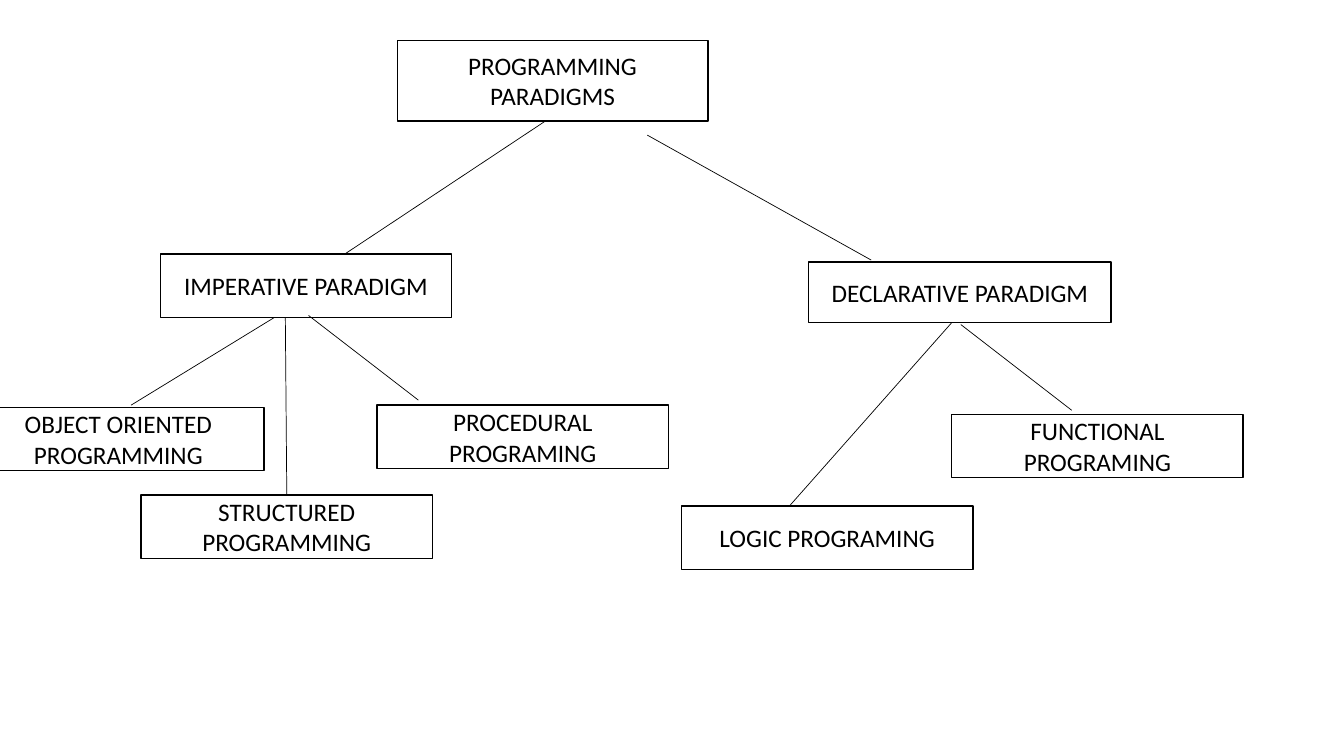
from lxml.etree import SubElement
from pptx import Presentation
from pptx.dml.color import RGBColor
from pptx.enum.shapes import MSO_CONNECTOR, MSO_SHAPE
from pptx.enum.text import MSO_ANCHOR as Anchor, PP_ALIGN as Align
from pptx.oxml.ns import qn
from pptx.util import Inches, Pt

WIDTH, HEIGHT = Inches(13.33), Inches(7.5)
BLACK, WHITE = "000000", "FFFFFF"
TOP_SIDE = 0

# All lengths are percentages of the slide's width and height.
LEAF_SIZE = (21.68, 8.4)
BOXES = [
    ("PROGRAMMING PARADIGMS", (29.56, 5.33), (23.11, 10.67)),
    ("IMPERATIVE PARADIGM", (11.93, 33.6), LEAF_SIZE),
    ("DECLARATIVE PARADIGM", (60.17, 34.67), (22.51, 8)),
    ("OBJECT ORIENTED PROGRAMMING", (-2.03, 53.87), LEAF_SIZE),
    ("STRUCTURED PROGRAMMING", (10.5, 65.47), LEAF_SIZE),
    ("PROCEDURAL PROGRAMING", (28.06, 53.6), LEAF_SIZE),
    ("LOGIC PROGRAMING", (50.71, 66.93), LEAF_SIZE),
    ("FUNCTIONAL PROGRAMING", (70.82, 54.8), LEAF_SIZE),
]
BRANCHES = [
    ((40.59, 16), (25.66, 33.6)),
    ((48.16, 17.87), (64.82, 34.4)),
    ((20.41, 42), (9.75, 53.6)),
    ((22.96, 41.73), (31.13, 52.93)),
    ((70.82, 42.67), (58.74, 66.93)),
    ((71.49, 42.93), (79.74, 54.27)),
]
STRUCTURED_BRANCH = ((21.23, 42), (21.34, 65.47))


def color(hex_string):
    return RGBColor.from_string(hex_string)


def scale(point):
    """Turn a pair of percentages into slide lengths."""
    across, down = point
    return round(WIDTH * across / 100), round(HEIGHT * down / 100)


def add_box(slide, text, position, size):
    shape = slide.shapes.add_shape(
        MSO_SHAPE.RECTANGLE, *scale(position), *scale(size))
    shape.shadow.inherit = False
    shape.fill.solid()
    shape.fill.fore_color.rgb = color(WHITE)
    shape.line.color.rgb = color(BLACK)
    shape.line.width = Pt(1)
    frame = shape.text_frame
    frame.word_wrap = True
    frame.vertical_anchor = Anchor.MIDDLE
    frame.text = text
    paragraph = frame.paragraphs[0]
    paragraph.alignment = Align.CENTER
    paragraph.font.name = "Calibri"
    paragraph.font.size = Pt(18)
    paragraph.font.color.rgb = color(BLACK)
    return shape


def add_branch(slide, start, end):
    connector = slide.shapes.add_connector(
        MSO_CONNECTOR.STRAIGHT, *scale(start), *scale(end))
    connector.line.color.rgb = color(BLACK)
    connector.line.width = Pt(0.5)
    SubElement(connector._element.spPr, qn("a:effectLst"))
    return connector


def main():
    presentation = Presentation()
    presentation.slide_width, presentation.slide_height = WIDTH, HEIGHT
    slide = presentation.slides.add_slide(presentation.slide_layouts[6])

    boxes = {text: add_box(slide, text, position, size)
             for text, position, size in BOXES}
    for start, end in BRANCHES:
        add_branch(slide, start, end)
    structured_branch = add_branch(slide, *STRUCTURED_BRANCH)
    structured_branch.end_connect(boxes["STRUCTURED PROGRAMMING"], TOP_SIDE)

    presentation.save("out.pptx")


if __name__ == "__main__":
    main()
